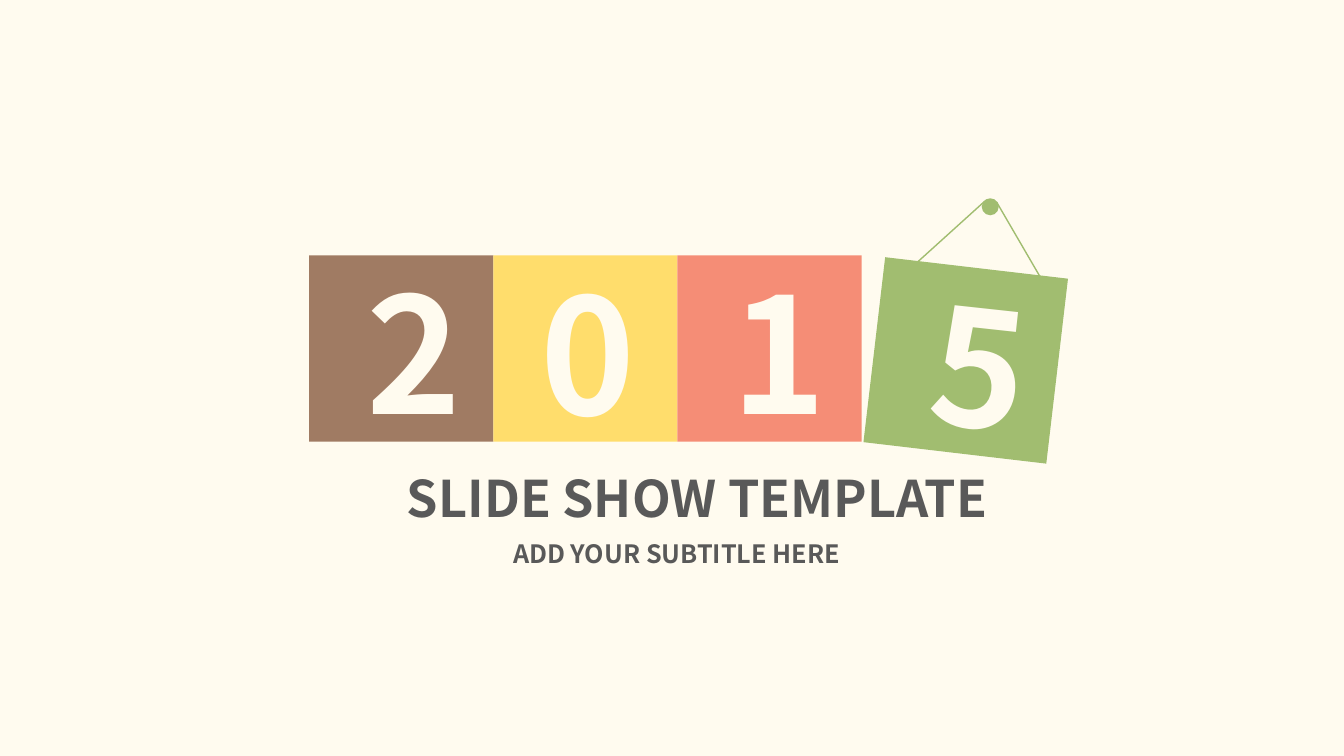
from pptx import Presentation
from pptx.dml.color import RGBColor
from pptx.enum.shapes import MSO_SHAPE
from pptx.enum.text import MSO_ANCHOR, MSO_AUTO_SIZE, PP_ALIGN
from pptx.util import Pt

SCALE = 914400 / 100.7
FONT = "Noto Sans CJK SC"
CREAM, GREEN, GREY = "FFFBEF", "A1BD70", "595959"

TITLE = "SLIDE SHOW TEMPLATE"
SUBTITLE = "ADD YOUR SUBTITLE HERE"
ROW_LEFT, ROW_TOP, TILE_WIDTH, TILE_HEIGHT = 309, 255, 184, 186
ROW_TILES = ["A07B63", "FFDD6C", "F58D76"]
HANGING_TILE = (873, 267)
DIGIT_SIZE = (112, 203)
DIGITS = [("2", 358, 248, 0), ("0", 532, 249, 0), ("1", 722, 248, 0), ("5", 923, 262, 6.2)]
NAIL = (981, 198, 17, 17)
STRING = [(901, 276), (984, 201), (996, 202), (1049, 293)]


def px(length):
    return round(length * SCALE)


def color(value):
    return RGBColor.from_string(value)


def place(shape, left, top, width, height):
    shape.left, shape.top = px(left), px(top)
    shape.width, shape.height = px(width), px(height)


def write(box, text, size, fill):
    frame = box.text_frame
    frame.word_wrap = False
    frame.auto_size = MSO_AUTO_SIZE.NONE
    frame.vertical_anchor = MSO_ANCHOR.MIDDLE
    para = frame.paragraphs[0]
    para.alignment = PP_ALIGN.CENTER
    para.space_before = Pt(0)
    span = para.add_run()
    span.text = text
    span.font.name = FONT
    span.font.size = Pt(size)
    span.font.bold = True
    span.font.color.rgb = color(fill)


def add_block(kind, left, top, width, height, fill, rotation=0):
    block = page.shapes.add_shape(kind, px(left), px(top), px(width), px(height))
    block.shadow.inherit = False
    block.fill.solid()
    block.fill.fore_color.rgb = color(fill)
    block.line.fill.background()
    block.rotation = rotation


deck = Presentation()
deck.slide_width, deck.slide_height = px(1343), px(755)
page = deck.slides.add_slide(deck.slide_layouts[0])
page.background.fill.solid()
page.background.fill.fore_color.rgb = color(CREAM)

builder = page.shapes.build_freeform(*STRING[0], scale=SCALE)
builder.add_line_segments(STRING[1:], close=False)
string = builder.convert_to_shape()
string.shadow.inherit = False
string.fill.background()
string.line.color.rgb = color(GREEN)
string.line.width = Pt(1)

for index, fill in enumerate(ROW_TILES):
    left = ROW_LEFT + index * TILE_WIDTH
    add_block(MSO_SHAPE.RECTANGLE, left, ROW_TOP, TILE_WIDTH, TILE_HEIGHT, fill)
add_block(MSO_SHAPE.RECTANGLE, *HANGING_TILE, TILE_WIDTH, TILE_HEIGHT, GREEN, rotation=6.7)
add_block(MSO_SHAPE.OVAL, *NAIL, GREEN)

for digit, left, top, rotation in DIGITS:
    box = page.shapes.add_textbox(0, 0, 0, 0)
    place(box, left, top, *DIGIT_SIZE)
    box.rotation = rotation
    write(box, digit, size=115, fill=CREAM)

title, subtitle = page.placeholders
place(title, 380, 462, 633, 70)
write(title, TITLE, size=36, fill=GREY)
place(subtitle, 476, 533, 400, 40)
write(subtitle, SUBTITLE, size=18, fill=GREY)

deck.save("out.pptx")
